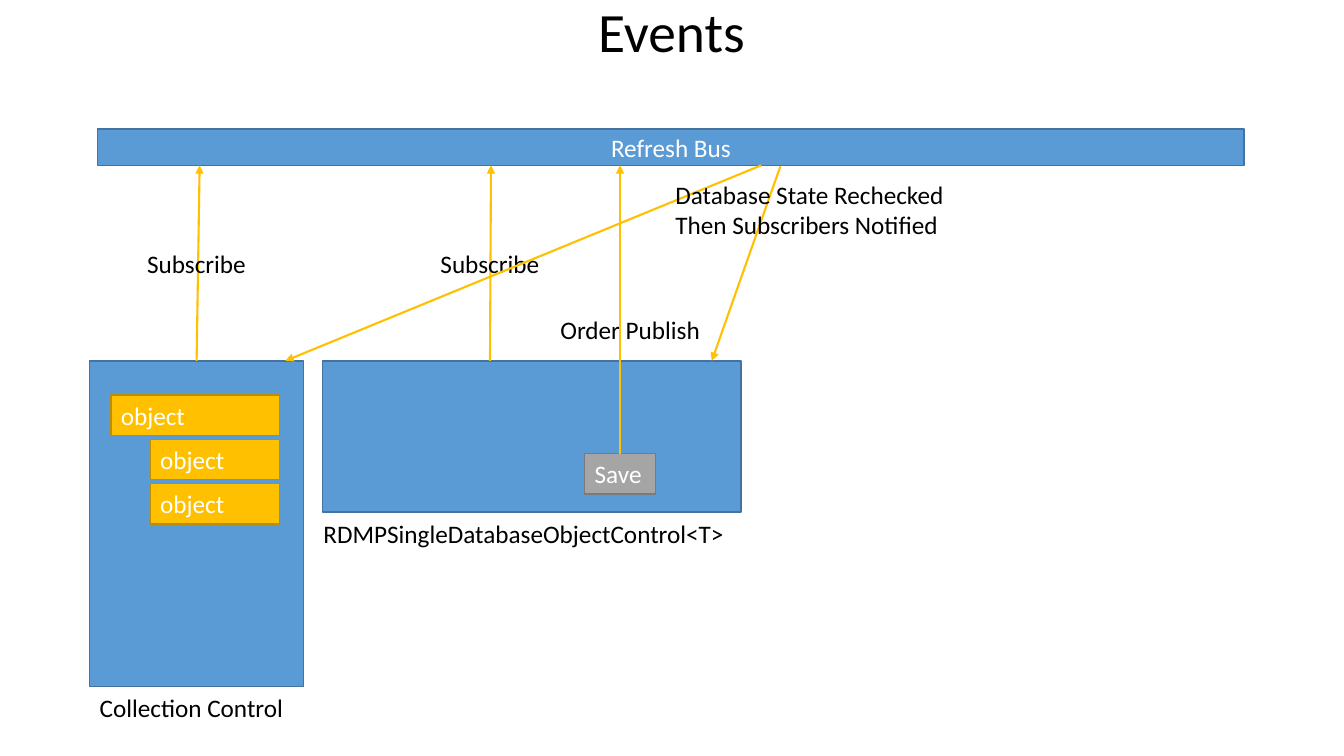
from dataclasses import dataclass

from lxml.etree import SubElement
from pptx import Presentation
from pptx.dml.color import RGBColor
from pptx.enum.shapes import MSO_CONNECTOR, MSO_SHAPE
from pptx.enum.text import MSO_ANCHOR, MSO_AUTO_SIZE, PP_ALIGN
from pptx.oxml.ns import qn
from pptx.slide import Slide
from pptx.text.text import TextFrame
from pptx.util import Emu, Pt

EMU_PER_PX = 9144  # 100 px to the inch


@dataclass(frozen=True)
class Theme:
    font: str = "Calibri"
    body_size: float = 18
    title_size: float = 39.6
    outline_width: float = 1
    arrow_width: float = 1.5
    ink: str = "000000"
    paper: str = "FFFFFF"
    blue: str = "5B9BD5"
    blue_edge: str = "43739E"
    gold: str = "FFC000"
    gold_edge: str = "BD8E00"
    gray: str = "A5A5A5"
    gray_edge: str = "7A7A7A"


THEME = Theme()


@dataclass(frozen=True)
class Box:
    left: int
    top: int
    width: int
    height: int
    fill: str = THEME.blue
    edge: str = THEME.blue_edge
    text: str = ""
    centered: bool = False


@dataclass(frozen=True)
class Label:
    left: int
    top: int
    width: int
    height: int
    text: str
    wrap: bool = False


@dataclass(frozen=True)
class Arrow:
    start: tuple[int, int]
    end: tuple[int, int]


# Levels shared by the boxes and the arrows between them
BUS_TOP, BUS_BOTTOM, CONTROL_TOP, SAVE_TOP = 128, 164, 358, 450
ROW_HEIGHT, OBJECT_TOP, OBJECT_STEP, OBJECT_RIGHT = 40, 392, 44, 277

TITLE = Label(91, -2, 1150, 72, "Events", wrap=True)

BOXES = [
    Box(89, CONTROL_TOP, 212, 323),
    Box(320, CONTROL_TOP, 415, 150),
    Box(97, BUS_TOP, 1137, BUS_BOTTOM - BUS_TOP, text="Refresh Bus", centered=True),
    Box(580, SAVE_TOP, 70, ROW_HEIGHT, THEME.gray, THEME.gray_edge, "Save"),
] + [
    Box(left, OBJECT_TOP + row * OBJECT_STEP, OBJECT_RIGHT - left, ROW_HEIGHT,
        THEME.gold, THEME.gold_edge, "object")
    for row, left in enumerate((110, 149, 149))
]

SUBSCRIBE_ARROWS = [
    Arrow((195, CONTROL_TOP), (198, BUS_BOTTOM)),
    Arrow((486, CONTROL_TOP), (487, BUS_BOTTOM)),
]

LABELS = [
    Label(89, 682, 221, ROW_HEIGHT, "Collection Control", wrap=True),
    Label(311, 509, 424, ROW_HEIGHT, "RDMPSingleDatabaseObjectControl<T>", wrap=True),
    Label(136, 241, 119, ROW_HEIGHT, "Subscribe"),
    Label(427, 241, 119, ROW_HEIGHT, "Subscribe"),
    Label(546, 307, 160, ROW_HEIGHT, "Order Publish"),
]

PUBLISH_ARROWS = [
    Arrow((615, SAVE_TOP), (615, BUS_BOTTOM)),
    Arrow((755, BUS_BOTTOM), (283, CONTROL_TOP)),
    Arrow((774, BUS_BOTTOM + 1), (706, CONTROL_TOP)),
]

NOTIFICATION = Label(660, 173, 289, 71,
                     "Database State Rechecked\nThen Subscribers Notified")


def px(length: int) -> Emu:
    return Emu(length * EMU_PER_PX)


def write_text(frame: TextFrame, text: str, *, color: str = THEME.ink,
               size: float = THEME.body_size, align: PP_ALIGN = PP_ALIGN.LEFT,
               anchor: MSO_ANCHOR = MSO_ANCHOR.TOP, wrap: bool = True,
               grow: bool = True, line_spacing: float = 1.0) -> None:
    frame.text = text
    frame.word_wrap = wrap
    frame.vertical_anchor = anchor
    frame.auto_size = MSO_AUTO_SIZE.SHAPE_TO_FIT_TEXT if grow else MSO_AUTO_SIZE.NONE
    for paragraph in frame.paragraphs:
        paragraph.alignment = align
        paragraph.line_spacing = line_spacing
        for run in paragraph.runs:
            run.font.name = THEME.font
            run.font.size = Pt(size)
            run.font.color.rgb = RGBColor.from_string(color)


def draw_box(slide: Slide, box: Box) -> None:
    shape = slide.shapes.add_shape(MSO_SHAPE.RECTANGLE, px(box.left), px(box.top),
                                   px(box.width), px(box.height))
    shape.shadow.inherit = False
    shape.fill.solid()
    shape.fill.fore_color.rgb = RGBColor.from_string(box.fill)
    shape.line.color.rgb = RGBColor.from_string(box.edge)
    shape.line.width = Pt(THEME.outline_width)
    if box.text:
        write_text(shape.text_frame, box.text, color=THEME.paper,
                   align=PP_ALIGN.CENTER if box.centered else PP_ALIGN.LEFT,
                   anchor=MSO_ANCHOR.MIDDLE if box.centered else MSO_ANCHOR.TOP,
                   grow=not box.centered)


def draw_label(slide: Slide, label: Label, **text_format) -> None:
    shape = slide.shapes.add_textbox(px(label.left), px(label.top),
                                     px(label.width), px(label.height))
    write_text(shape.text_frame, label.text, wrap=label.wrap, **text_format)


def draw_arrow(slide: Slide, arrow: Arrow) -> None:
    start_x, start_y = map(px, arrow.start)
    end_x, end_y = map(px, arrow.end)
    connector = slide.shapes.add_connector(MSO_CONNECTOR.STRAIGHT,
                                           start_x, start_y, end_x, end_y)
    connector.line.color.rgb = RGBColor.from_string(THEME.gold)
    connector.line.width = Pt(THEME.arrow_width)
    SubElement(connector.line._get_or_add_ln(), qn("a:tailEnd"), type="triangle")
    SubElement(connector._element.spPr, qn("a:effectLst"))


def main() -> None:
    presentation = Presentation()
    presentation.slide_width, presentation.slide_height = px(1333), px(750)
    slide = presentation.slides.add_slide(presentation.slide_layouts[6])

    # Title
    draw_label(slide, TITLE, size=THEME.title_size, align=PP_ALIGN.CENTER,
               anchor=MSO_ANCHOR.MIDDLE, grow=False, line_spacing=0.9)

    # Bus, controls and their contents
    for box in BOXES:
        draw_box(slide, box)

    # Subscriptions, with the labels over them
    for arrow in SUBSCRIBE_ARROWS:
        draw_arrow(slide, arrow)
    for label in LABELS:
        draw_label(slide, label)

    # Publishing and notification
    for arrow in PUBLISH_ARROWS:
        draw_arrow(slide, arrow)
    draw_label(slide, NOTIFICATION)

    presentation.save("out.pptx")


if __name__ == "__main__":
    main()
